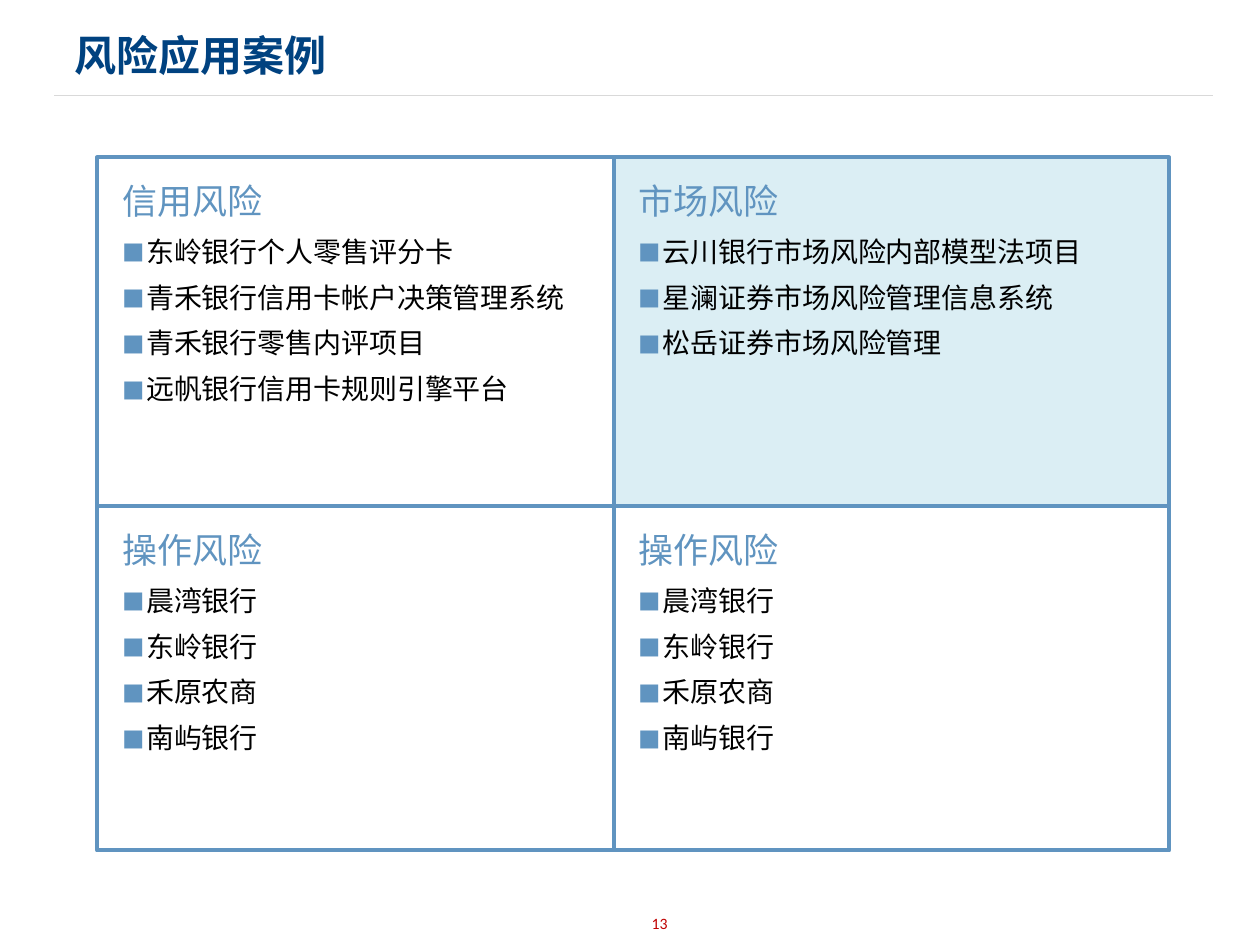
import pptx
import pptx.util
import pptx.dml.color
import pptx.enum.shapes
import pptx.enum.text
import pptx.oxml.ns
from lxml import etree

Inches, Pt = pptx.util.Inches, pptx.util.Pt
ALIGN = pptx.enum.text.PP_ALIGN
ANCHOR = pptx.enum.text.MSO_ANCHOR
qn = pptx.oxml.ns.qn

TITLE = "风险应用案例"
PAGE_NUMBER = "13"
OPERATIONAL = ["晨湾银行", "东岭银行", "禾原农商", "南屿银行"]
QUADRANTS = [
    {"heading": "信用风险", "column": 0, "row": 0, "items": [
        "东岭银行个人零售评分卡",
        "青禾银行信用卡帐户决策管理系统",
        "青禾银行零售内评项目",
        "远帆银行信用卡规则引擎平台"]},
    {"heading": "市场风险", "column": 1, "row": 0, "fill": "tint", "items": [
        "云川银行市场风险内部模型法项目",
        "星澜证券市场风险管理信息系统",
        "松岳证券市场风险管理"]},
    {"heading": "操作风险", "column": 0, "row": 1, "items": OPERATIONAL},
    {"heading": "操作风险", "column": 1, "row": 1, "items": OPERATIONAL,
     "placeholder": True},
]

COLORS = {"title": "004280", "accent": "6094C0", "tint": "DBEEF4",
          "text": "000000", "rule": "D9D9D9", "number": "C00000"}
LATIN_FONT, CHINESE_FONT = "Calibri", "Noto Sans CJK SC"
COLUMN_EDGES = (0.77, 4.87, 9.28)
ROW_EDGES = (1.25, 4.02, 6.75)
PADDING = 0.2
BULLET_INDENT = 0.19


def color(name):
    return pptx.dml.color.RGBColor.from_string(COLORS[name])


def place(shape, left, top, width, height):
    shape.left, shape.top = Inches(left), Inches(top)
    shape.width, shape.height = Inches(width), Inches(height)


def set_margins(frame, horizontal, vertical):
    frame.margin_left = frame.margin_right = Inches(horizontal)
    frame.margin_top = frame.margin_bottom = Inches(vertical)


def style(para, name, size, tint, bold=False):
    para.font.name, para.font.size = name, Pt(size)
    para.font.bold, para.font.color.rgb = bold, color(tint)


def add_property(parent, tag, **attributes):
    return etree.SubElement(parent, qn(tag), attributes)


def format_paragraph(para, size, tint, space_percent, bullet):
    style(para, CHINESE_FONT, size, tint)
    para.alignment = ALIGN.LEFT
    para.level = 1 if bullet else 0
    para.line_spacing = 0.95
    indent = Inches(BULLET_INDENT) if bullet else 0
    properties = para._p.get_or_add_pPr()
    properties.set("marL", str(indent))
    properties.set("indent", str(-indent))
    spacing = etree.Element(qn("a:spcBef"))
    add_property(spacing, "a:spcPct", val=str(space_percent * 1000))
    properties.find(qn("a:lnSpc")).addnext(spacing)
    defaults = properties.find(qn("a:defRPr"))
    bullets = etree.Element("bullets")
    if bullet:
        bullet_color = add_property(bullets, "a:buClr")
        add_property(bullet_color, "a:srgbClr", val=COLORS["accent"])
        add_property(bullets, "a:buSzPct", val="80000")
        add_property(bullets, "a:buFont", typeface=CHINESE_FONT)
        add_property(bullets, "a:buChar", char="■")
    else:
        add_property(bullets, "a:buNone")
    for element in list(bullets):
        defaults.addprevious(element)
    for span in para.runs:
        span.font.name, span.font.size = CHINESE_FONT, Pt(size)
        span.font.color.rgb = color(tint)
        add_property(span._r.get_or_add_rPr(), "a:ea", typeface=CHINESE_FONT)
        latin = span._r.rPr.find(qn("a:latin"))
        latin.addnext(span._r.rPr.find(qn("a:ea")))


def add_quadrant(page, quadrant):
    column, row = quadrant["column"], quadrant["row"]
    left, right = COLUMN_EDGES[column:column + 2]
    top, bottom = ROW_EDGES[row:row + 2]
    if quadrant.get("placeholder"):
        box = page.placeholders[1]
        page.shapes._spTree.append(box._element)
    else:
        box = page.shapes.add_shape(
            pptx.enum.shapes.MSO_SHAPE.RECTANGLE, 0, 0, 0, 0)
        box.shadow.inherit = False
    place(box, left, top, right - left, bottom - top)
    if "fill" in quadrant:
        box.fill.solid()
        box.fill.fore_color.rgb = color(quadrant["fill"])
    else:
        box.fill.background()
    box.line.color.rgb = color("accent")
    box.line.width = Pt(2.25)
    frame = box.text_frame
    frame.word_wrap = True
    frame.auto_size = pptx.enum.text.MSO_AUTO_SIZE.NONE
    frame.vertical_anchor = ANCHOR.TOP
    set_margins(frame, PADDING, PADDING)
    frame.text = "\n".join([quadrant["heading"]] + quadrant["items"])
    format_paragraph(frame.paragraphs[0], 20, "accent", 25, False)
    for para in frame.paragraphs[1:]:
        format_paragraph(para, 16, "text", 50, True)


def add_title(page):
    rule = page.shapes.add_connector(
        pptx.enum.shapes.MSO_CONNECTOR.STRAIGHT,
        Inches(0.43), Inches(0.76), Inches(9.63), Inches(0.76))
    rule.line.color.rgb = color("rule")
    rule.line.width = Pt(0.75)
    add_property(rule._element.spPr, "a:effectLst")
    title = page.shapes.title
    place(title, 0.51, 0.08, 9.13, 0.71)
    frame = title.text_frame
    frame.text = TITLE
    frame.vertical_anchor = ANCHOR.MIDDLE
    set_margins(frame, 0.08, 0.04)
    para = frame.paragraphs[0]
    para.alignment = ALIGN.LEFT
    style(para, LATIN_FONT, 24, "title", bold=True)
    style(para.runs[0], LATIN_FONT, 24, "title", bold=True)


def add_page_number(page):
    box = page.shapes.add_textbox(
        Inches(4.47), Inches(7.13), Inches(1.53), Inches(0.4))
    frame = box.text_frame
    frame.word_wrap = True
    frame.text = PAGE_NUMBER
    frame.vertical_anchor = ANCHOR.MIDDLE
    set_margins(frame, 0.08, 0.04)
    para = frame.paragraphs[0]
    para.alignment = ALIGN.CENTER
    style(para.runs[0], LATIN_FONT, 9, "number")


def main():
    deck = pptx.Presentation()
    deck.slide_width, deck.slide_height = Inches(10), Inches(7.5)
    page = deck.slides.add_slide(deck.slide_layouts[1])
    add_title(page)
    add_page_number(page)
    for quadrant in QUADRANTS:
        add_quadrant(page, quadrant)
    deck.save("out.pptx")


if __name__ == "__main__":
    main()
